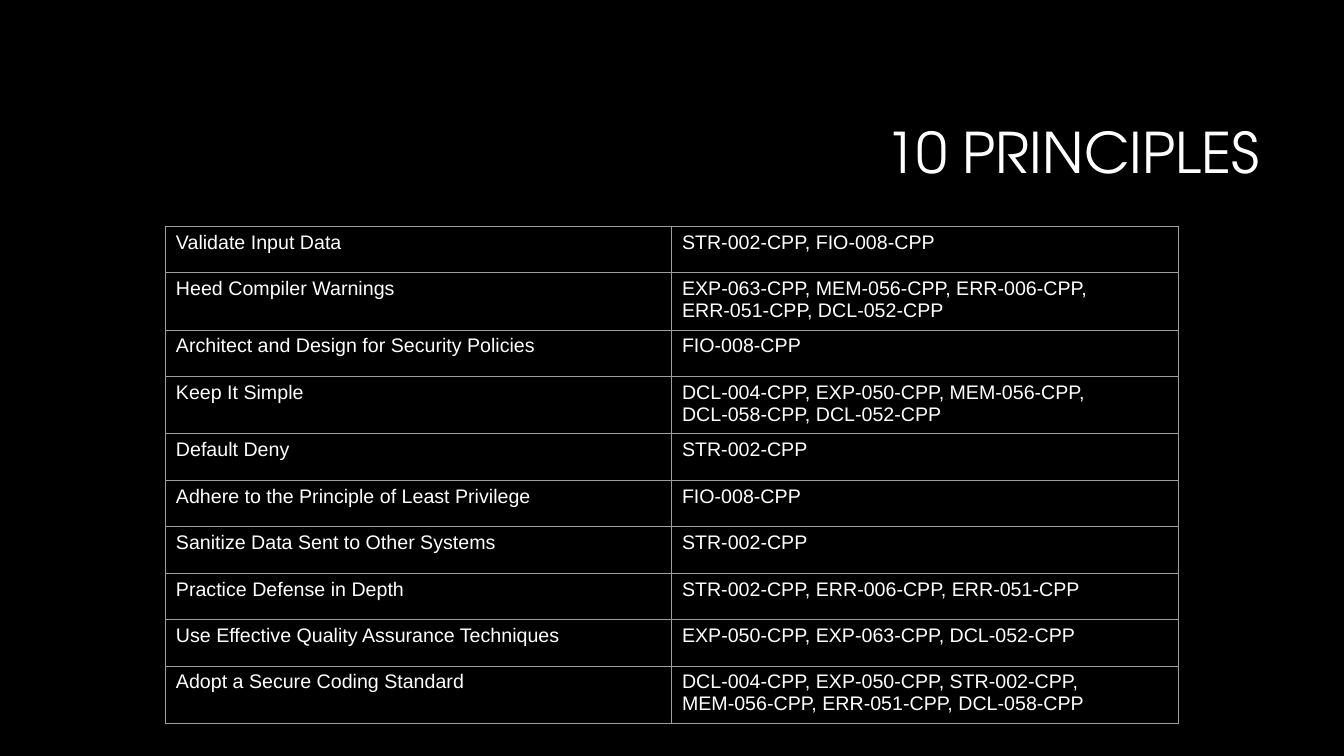
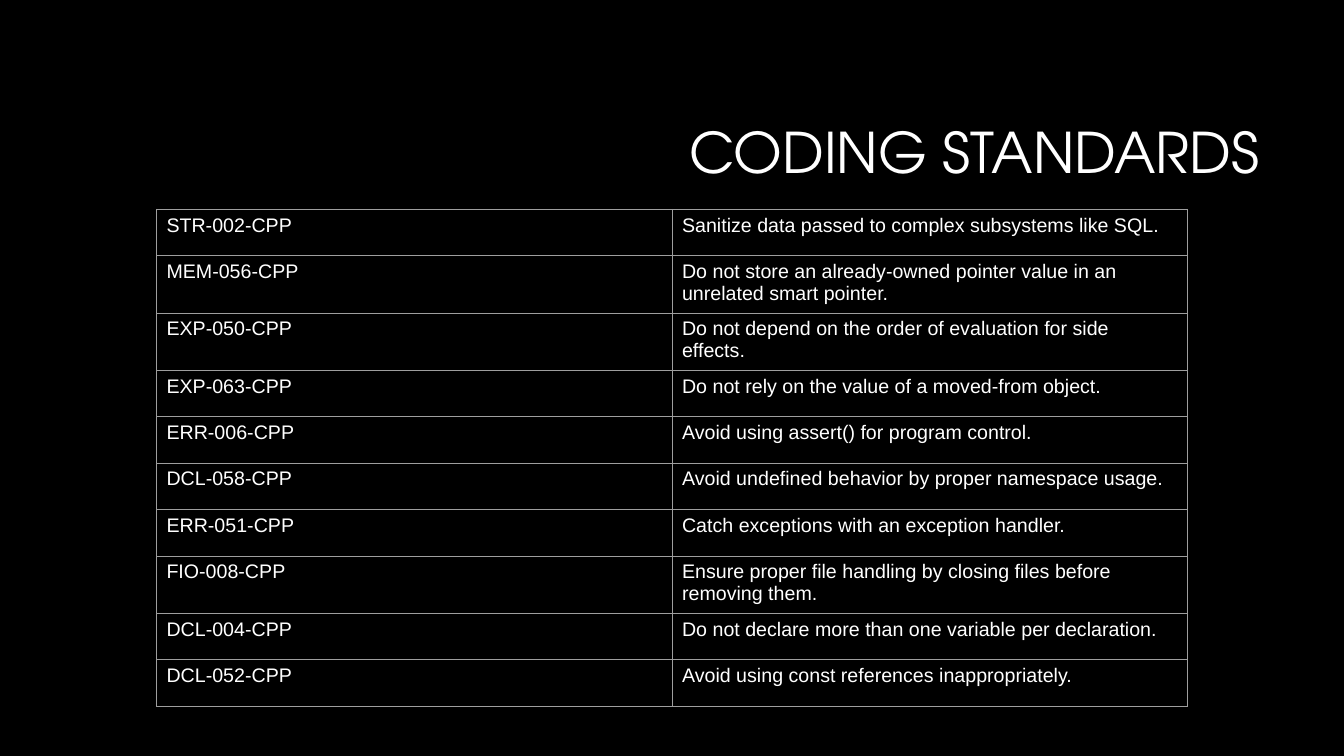
import dataclasses

import lxml.etree
import pptx
import pptx.dml.color
import pptx.enum.text
import pptx.oxml.ns
import pptx.util

Pt = pptx.util.Pt
RGBColor = pptx.dml.color.RGBColor


@dataclasses.dataclass(frozen=True)
class Theme:
    background: str = "000000"
    text: str = "FFFFFF"
    border: str = "9E9E9E"
    border_width: float = 0.75
    title_font: str = "TeX Gyre Adventor"
    body_font: str = "Arial"
    title_size: float = 40
    body_size: float = 14


THEME = Theme()
BLANK_LAYOUT = 6
ROW_HEIGHT = 33.2

PRINCIPLES = [
    ("Validate Input Data", "STR-002-CPP, FIO-008-CPP"),
    ("Heed Compiler Warnings",
     "EXP-063-CPP, MEM-056-CPP, ERR-006-CPP,\nERR-051-CPP, DCL-052-CPP"),
    ("Architect and Design for Security Policies", "FIO-008-CPP"),
    ("Keep It Simple",
     "DCL-004-CPP, EXP-050-CPP, MEM-056-CPP,\nDCL-058-CPP, DCL-052-CPP"),
    ("Default Deny", "STR-002-CPP"),
    ("Adhere to the Principle of Least Privilege", "FIO-008-CPP"),
    ("Sanitize Data Sent to Other Systems", "STR-002-CPP"),
    ("Practice Defense in Depth", "STR-002-CPP, ERR-006-CPP, ERR-051-CPP"),
    ("Use Effective Quality Assurance Techniques",
     "EXP-050-CPP, EXP-063-CPP, DCL-052-CPP"),
    ("Adopt a Secure Coding Standard",
     "DCL-004-CPP, EXP-050-CPP, STR-002-CPP,\nMEM-056-CPP, ERR-051-CPP, DCL-058-CPP"),
]

STANDARDS = [
    ("STR-002-CPP", "Sanitize data passed to complex subsystems like SQL."),
    ("MEM-056-CPP",
     "Do not store an already-owned pointer value in an unrelated smart pointer."),
    ("EXP-050-CPP", "Do not depend on the order of evaluation for side effects."),
    ("EXP-063-CPP", "Do not rely on the value of a moved-from object."),
    ("ERR-006-CPP", "Avoid using assert() for program control."),
    ("DCL-058-CPP", "Avoid undefined behavior by proper namespace usage."),
    ("ERR-051-CPP", "Catch exceptions with an exception handler."),
    ("FIO-008-CPP",
     "Ensure proper file handling by closing files before removing them."),
    ("DCL-004-CPP", "Do not declare more than one variable per declaration."),
    ("DCL-052-CPP", "Avoid using const references inappropriately."),
]


def write_text(frame, text, *, font=THEME.body_font, size=THEME.body_size,
               color=THEME.text, align=None, line_spacing=None):
    """Fill the frame with one paragraph for each line of text."""
    for index, line in enumerate(text.split("\n")):
        para = frame.add_paragraph() if index else frame.paragraphs[0]
        para.alignment = align
        para.line_spacing = line_spacing
        span = para.add_run()
        span.text = line
        span.font.name = font
        span.font.size = Pt(size)
        span.font.color.rgb = RGBColor.from_string(color)


def add_title(page, text):
    box = page.shapes.add_textbox(Pt(228), Pt(60.5), Pt(678.5), Pt(101.5))
    frame = box.text_frame
    frame.word_wrap = True
    frame.vertical_anchor = pptx.enum.text.MSO_ANCHOR.MIDDLE
    write_text(frame, text, font=THEME.title_font, size=THEME.title_size,
               align=pptx.enum.text.PP_ALIGN.RIGHT, line_spacing=0.9)


def outline_cell(cell):
    """Draw all four borders; they must come before the fill in the cell's XML."""
    properties = cell._tc.get_or_add_tcPr()
    qualified = pptx.oxml.ns.qn
    for side in ("lnL", "lnR", "lnT", "lnB"):
        line = lxml.etree.SubElement(properties, qualified(f"a:{side}"),
                                     w=str(Pt(THEME.border_width)))
        fill = lxml.etree.SubElement(line, qualified("a:solidFill"))
        lxml.etree.SubElement(fill, qualified("a:srgbClr"), val=THEME.border)


def add_grid(page, rows, left, top, width):
    """Add a table with equal columns and rows that grow with their text."""
    column_count = len(rows[0])
    table = page.shapes.add_table(len(rows), column_count, Pt(left), Pt(top),
                                  Pt(width), Pt(ROW_HEIGHT * len(rows))).table
    table.first_row = False
    table.horz_banding = False
    for column in table.columns:
        column.width = Pt(width / column_count)
    for row, texts in zip(table.rows, rows):
        row.height = Pt(ROW_HEIGHT)
        for cell, text in zip(row.cells, texts):
            outline_cell(cell)
            cell.fill.solid()
            cell.fill.fore_color.rgb = RGBColor.from_string(THEME.background)
            write_text(cell.text_frame, text)


def add_table_page(deck, title, rows, **place):
    page = deck.slides.add_slide(deck.slide_layouts[BLANK_LAYOUT])
    add_title(page, title)
    add_grid(page, rows, **place)


def main():
    deck = pptx.Presentation()
    deck.slide_width = Pt(960)
    deck.slide_height = Pt(540)
    backdrop = deck.slide_master.background.fill
    backdrop.solid()
    backdrop.fore_color.rgb = RGBColor.from_string(THEME.background)

    add_table_page(deck, "10 PRINCIPLES", PRINCIPLES,
                   left=118.5, top=161.75, width=723)
    add_table_page(deck, "CODING STANDARDS", STANDARDS,
                   left=111.75, top=149.5, width=736.5)
    deck.save("out.pptx")


if __name__ == "__main__":
    main()
